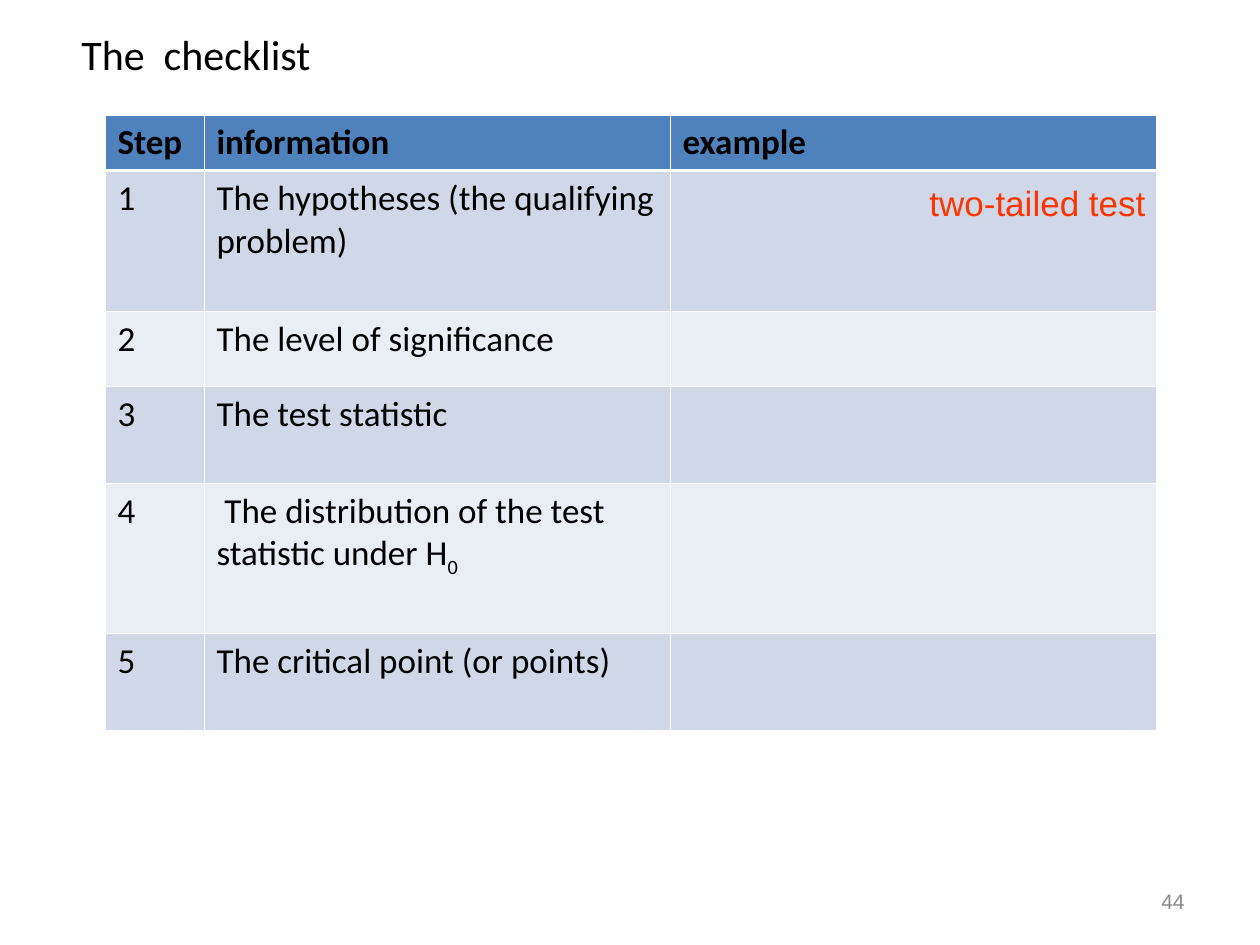
from lxml import etree
from pptx import Presentation
from pptx import util as u
from pptx.dml.color import RGBColor
from pptx.enum import text
from pptx.oxml.ns import qn

PX = 914400 // 126  # EMU per pixel

COLORS = {
    "ink": "000000", "accent": "FF3300", "muted": "898989", "line": "FFFFFF",
    "header": "4F81BD", "band_dark": "D0D8E8", "band_light": "E9EDF4",
}

# Content: each cell is its text and an optional subscript
HEADER = [("Step", ""), ("information", ""), ("example", "")]
STEPS = [
    ("The hypotheses (the qualifying problem)", ""),
    ("The level of significance", ""),
    ("The test statistic", ""),
    (" The distribution of the test statistic under H", "0"),
    ("The critical point (or points)", ""),
]
ROWS = [HEADER] + [[(str(n), ""), step, ("", "")] for n, step in enumerate(STEPS, 1)]

TABLE_LEFT, TABLE_TOP = 105, 115
COLUMN_WIDTHS = [99, 466, 486]
ROW_HEIGHTS = [55, 141, 75, 97, 150, 97]
THIN, THICK = 0.45, 1.47  # border widths in points

LABELS = [
    ("The  checklist", (-5, 0, 402, 107),
     dict(size=24, align=text.PP_ALIGN.CENTER, anchor=text.MSO_ANCHOR.MIDDLE)),
    ("two-tailed test", (917, 175, 287, 55),
     dict(size=20, font="Arial", color="accent")),
    ("44", (903, 876, 294, 50),
     dict(size=12, font="Arial", color="muted", align=text.PP_ALIGN.RIGHT,
          anchor=text.MSO_ANCHOR.MIDDLE)),
]


def write(frame, words, subscript="", size=20, font="Calibri", color="ink", bold=False,
          align=text.PP_ALIGN.LEFT, anchor=text.MSO_ANCHOR.TOP):
    frame.word_wrap = True
    frame.vertical_anchor = anchor
    para = frame.paragraphs[0]
    para.alignment = align
    for part, baseline in ((words, 0), (subscript, -25000)):
        if not part:
            continue
        span = para.add_run()
        span.text = part
        span.font.size = u.Pt(size)
        span.font.name = font
        span.font.bold = bold
        span.font.color.rgb = RGBColor.from_string(COLORS[color])
        if baseline:
            span.font._element.set("baseline", str(baseline))


def add_borders(cell, widths):
    props = cell._tc.get_or_add_tcPr()
    for side, width in widths.items():
        line = etree.SubElement(props, qn(f"a:ln{side}"), w=str(int(u.Pt(width))))
        fill = etree.SubElement(line, qn("a:solidFill"))
        etree.SubElement(fill, qn("a:srgbClr"), val=COLORS["line"])


deck = Presentation()
deck.slide_width, deck.slide_height = 1260 * PX, 945 * PX
page = deck.slides.add_slide(deck.slide_layouts[6])

# Checklist table
frame = page.shapes.add_table(
    len(ROWS), len(COLUMN_WIDTHS), TABLE_LEFT * PX, TABLE_TOP * PX,
    sum(COLUMN_WIDTHS) * PX, sum(ROW_HEIGHTS) * PX)
table = frame.table
table.first_row = table.horz_banding = False
for column, width in zip(table.columns, COLUMN_WIDTHS):
    column.width = width * PX
for r, (row, height) in enumerate(zip(table.rows, ROW_HEIGHTS)):
    row.height = height * PX
    band = "header" if r == 0 else "band_dark" if r % 2 else "band_light"
    borders = {"L": THIN, "R": THIN,
               "T": THICK if r == 1 else THIN, "B": THICK if r == 0 else THIN}
    for cell, (words, subscript) in zip(row.cells, ROWS[r]):
        write(cell.text_frame, words, subscript, bold=r == 0)
        add_borders(cell, borders)
        cell.fill.solid()
        cell.fill.fore_color.rgb = RGBColor.from_string(COLORS[band])

# Title, example note and page number
for words, place, style in LABELS:
    box = page.shapes.add_textbox(*(n * PX for n in place))
    write(box.text_frame, words, **style)

deck.save("out.pptx")
